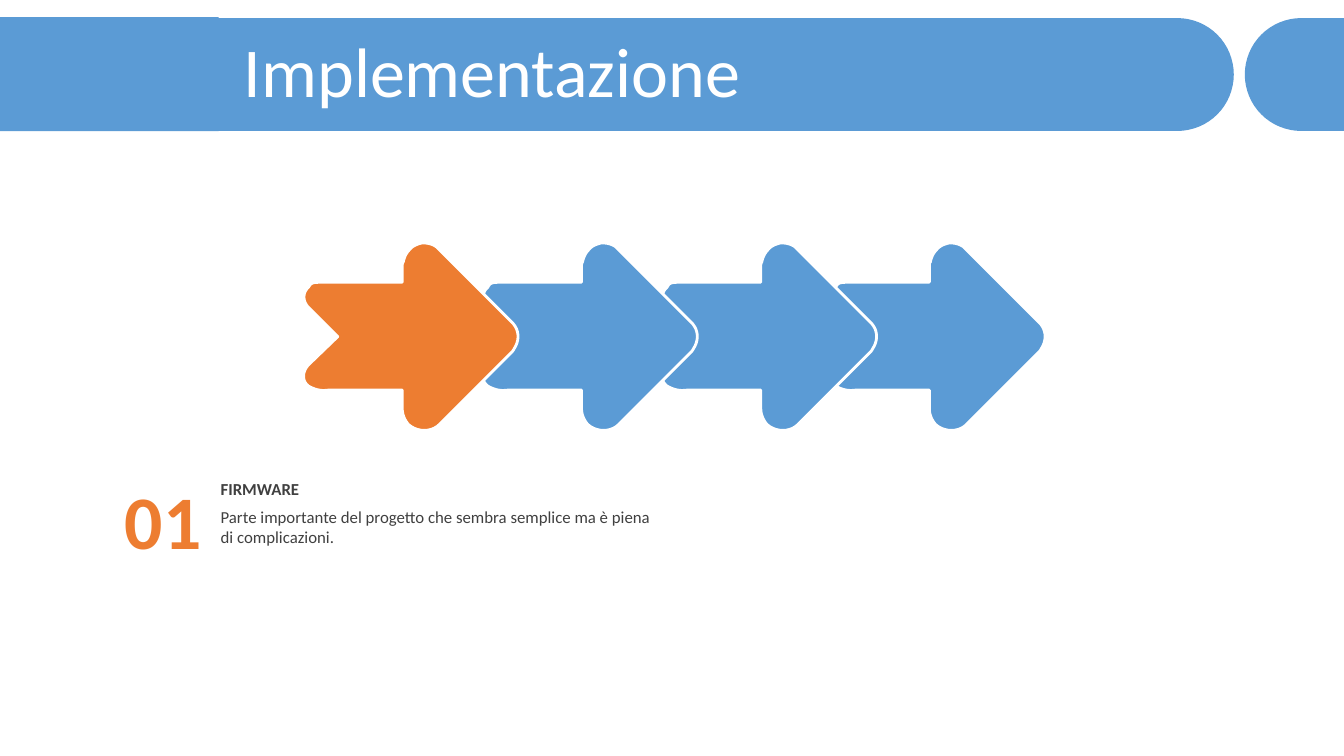
import math

from pptx import Presentation, util
from pptx.dml import color
from pptx.enum import shapes, text

BLUE, ORANGE, WHITE, GREY = "5B9BD5", "ED7D31", "FFFFFF", "404040"
FONT = "Calibri"
WIDTH, HEIGHT = util.Inches(13.333), util.Inches(7.5)
CURVE_STEPS = 10
ARROW_GRID = (220, 188)
ARROW_START = (124, 1)
ARROW_STEPS = [
    [(129, 1), (134, 2), (138, 5)],
    [(139, 6), (140, 7), (141, 8)],
    [(212, 79)],
    [(220, 86), (221, 97), (215, 106)],
    [(214, 108), (213, 109), (212, 110)],
    [(141, 181)],
    [(133, 189), (119, 189), (110, 181)],
    [(106, 176), (104, 171), (104, 165)],
    [(104, 147)],
    [(31, 147)],
    [(24, 148), (18, 147), (11, 143)],
    [(4, 138), (5, 128), (11, 122)],
    [(40, 94)],
    [(11, 65)],
    [(5, 59), (5, 50), (11, 45)],
    [(14, 40), (14, 40), (31, 40)],
    [(104, 40)],
    [(104, 24)],
    [(104, 23), (104, 21), (105, 20)],
    [(106, 15), (108, 11), (111, 8)],
    [(114, 4), (119, 2), (124, 1)],
]


def box(left, top, width, height):
    """Turn percentages of the slide into a box in EMU."""
    return tuple(round(share * side / 100) for share, side in
                 zip((left, top, width, height), (WIDTH, HEIGHT) * 2))


def rgb(value):
    """Return the colour for a hex string."""
    return color.RGBColor.from_string(value)


def paint(shape, fill, line=None):
    """Give a shape a flat fill and an optional outline."""
    shape.shadow.inherit = False
    shape.fill.solid()
    shape.fill.fore_color.rgb = rgb(fill)
    if line:
        shape.line.color.rgb = rgb(line)
        shape.line.width = util.Pt(2)
    else:
        shape.line.fill.background()


def add_outline(slide, points, fill, line=None):
    """Draw a closed outline through points in EMU."""
    builder = slide.shapes.build_freeform(*points[0])
    builder.add_line_segments(points[1:], close=True)
    paint(builder.convert_to_shape(), fill, line)


def style_text(frame, size, hex_color, bold=False):
    """Format every run of a text frame."""
    for paragraph in frame.paragraphs:
        for run in paragraph.runs:
            run.font.name = FONT
            run.font.size = util.Pt(size)
            run.font.bold = bold
            run.font.color.rgb = rgb(hex_color)


def add_band(slide, area, facing):
    """Draw a band with a half-round end, facing right (1) or left (-1)."""
    left, top, width, height = area
    radius = height / 2
    flat, tip = (left, left + width) if facing > 0 else (left + width, left)
    center = tip - facing * radius
    angles = [math.pi * (step / 32 - 0.5) for step in range(33)]
    arc = [(center + facing * radius * math.cos(angle),
            top + radius + radius * math.sin(angle)) for angle in angles]
    add_outline(slide, [(flat, top), *arc, (flat, top + height)], BLUE)


def add_header(slide, title_text):
    """Place the header bands and the title on top of them."""
    add_band(slide, box(0, 2.4, 91.8, 14.93), 1)
    add_band(slide, box(92.62, 2.4, 7.38, 14.93), -1)
    block = slide.shapes.add_shape(shapes.MSO_SHAPE.RECTANGLE,
                                   *box(0, 2.27, 16.27, 15.07))
    paint(block, BLUE)
    title = slide.shapes.title
    title.left, title.top, title.width, title.height = box(17.4, 4.93, 80.17, 10.53)
    frame = title.text_frame
    frame.text = title_text
    frame.auto_size = text.MSO_AUTO_SIZE.NONE
    frame.vertical_anchor = text.MSO_ANCHOR.MIDDLE
    paragraph = frame.paragraphs[0]
    paragraph.alignment = text.PP_ALIGN.LEFT
    paragraph.line_spacing = 0.8
    paragraph.space_before = util.Pt(10)
    style_text(frame, 50, WHITE)
    title.element.getparent().append(title.element)


def arrow_points():
    """Follow the arrow's lines and curves in its own grid units."""
    points = [ARROW_START]
    for step in ARROW_STEPS:
        if len(step) == 1:
            points.extend(step)
            continue
        corners = [points[-1], *step]
        for count in range(1, CURVE_STEPS + 1):
            share = count / CURVE_STEPS
            weights = [math.comb(3, k) * share ** k * (1 - share) ** (3 - k)
                       for k in range(4)]
            points.append(tuple(sum(weight * corner[axis] for weight, corner
                                    in zip(weights, corners)) for axis in (0, 1)))
    return points


def add_arrow(slide, area, fill):
    """Draw one rounded arrow in its box."""
    left, top, width, height = area
    points = [(left + x * width / ARROW_GRID[0], top + y * height / ARROW_GRID[1])
              for x, y in arrow_points()]
    add_outline(slide, points, fill, WHITE)


def add_process(slide):
    """Chain the arrows from the last to the highlighted first."""
    first, pitch = 22.13, 13.34
    lefts = [first + pitch * index for index in range(3)] + [61.35]
    for left, fill in reversed(list(zip(lefts, [ORANGE, BLUE, BLUE, BLUE]))):
        add_arrow(slide, box(left, 32, 16.5, 25.07), fill)


def add_label(slide, area, words, size, hex_color, bold=False, insets=(0.1, 0.05),
              anchor=text.MSO_ANCHOR.MIDDLE, align=text.PP_ALIGN.LEFT):
    """Add a wrapped text box without a left inset."""
    frame = slide.shapes.add_textbox(*area).text_frame
    frame.text = words
    frame.word_wrap = True
    frame.auto_size = text.MSO_AUTO_SIZE.SHAPE_TO_FIT_TEXT
    frame.vertical_anchor = anchor
    frame.margin_left = 0
    frame.margin_right = util.Inches(insets[0])
    frame.margin_top = frame.margin_bottom = util.Inches(insets[1])
    frame.paragraphs[0].alignment = align
    style_text(frame, size, hex_color, bold)


def add_step(slide, number, heading, description):
    """Place the number, heading and description of a step."""
    add_label(slide, box(16.42, 62.67, 33.38, 4), heading, 12, GREY, bold=True)
    add_label(slide, box(16.42, 66.4, 33.38, 6.67), description, 12, GREY,
              anchor=text.MSO_ANCHOR.TOP)
    add_label(slide, box(7.95, 62.67, 7.05, 12.13), number, 54, ORANGE, bold=True,
              insets=(0, 0), align=text.PP_ALIGN.RIGHT)


def main():
    """Build and save the presentation."""
    presentation = Presentation()
    presentation.slide_width, presentation.slide_height = WIDTH, HEIGHT
    slide = presentation.slides.add_slide(presentation.slide_layouts[5])
    add_header(slide, "Implementazione")
    add_process(slide)
    add_step(slide, "01", "FIRMWARE", "Parte importante del progetto che sembra "
             "semplice ma è piena di complicazioni.")
    presentation.save("out.pptx")


if __name__ == "__main__":
    main()
